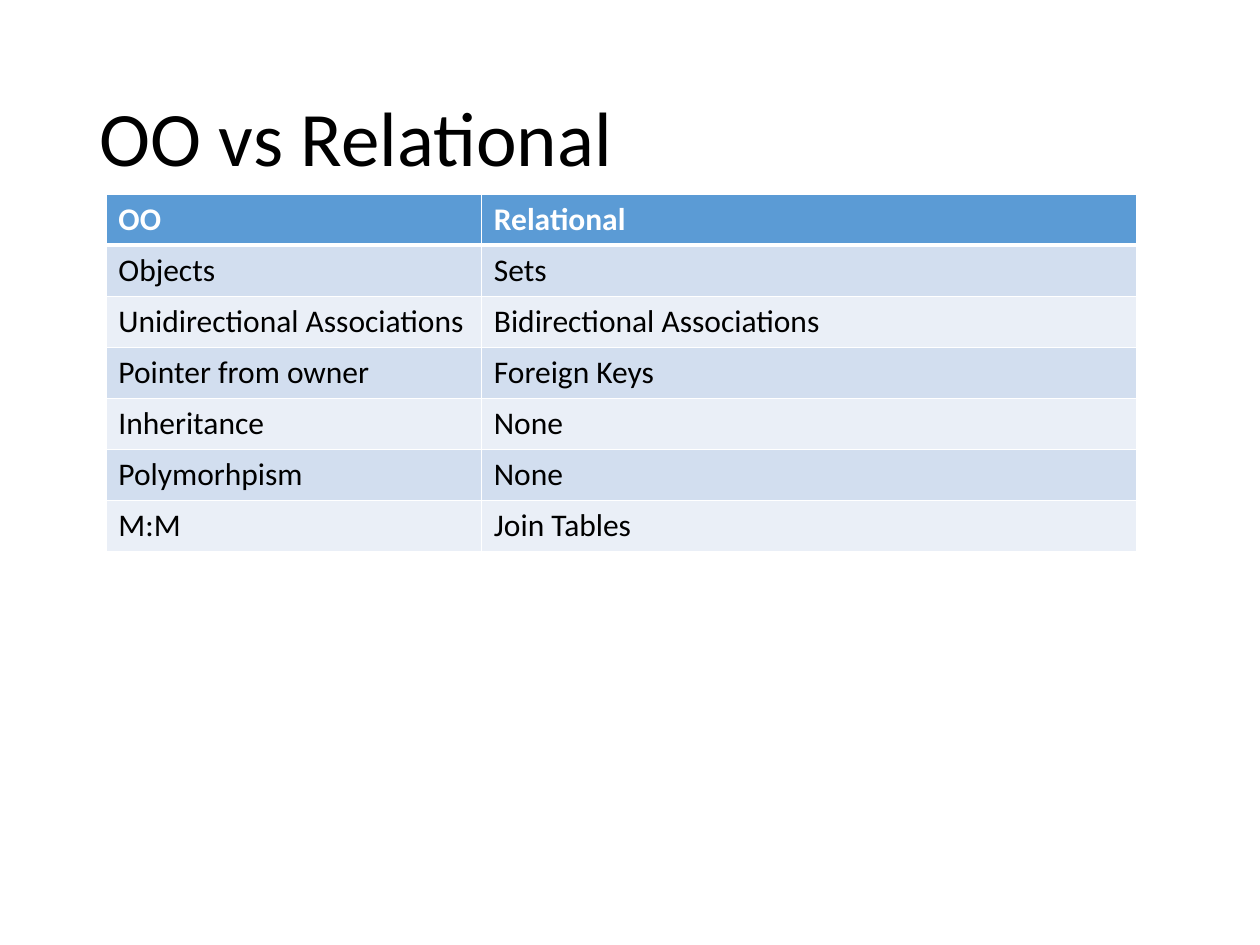
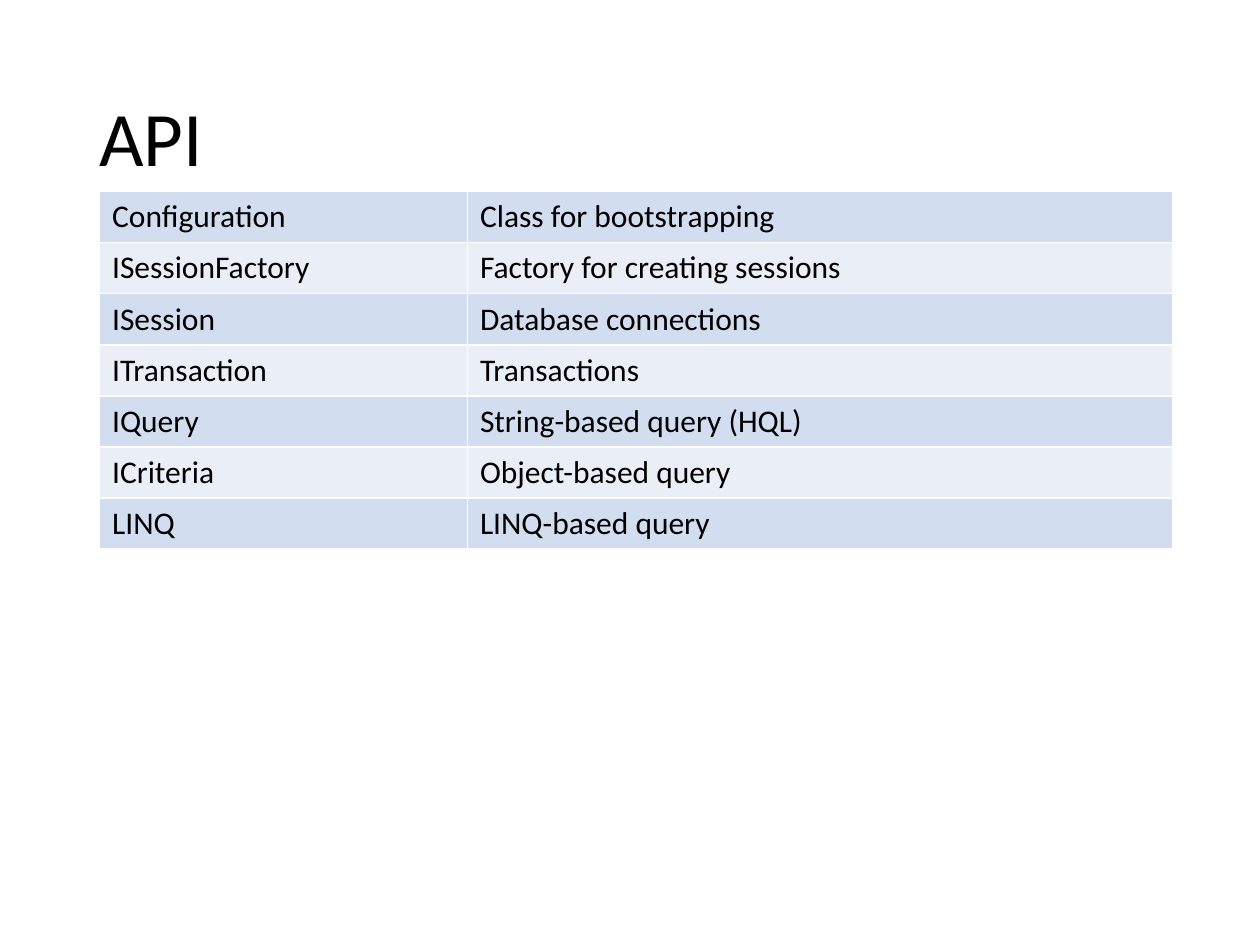
from dataclasses import dataclass

from lxml.etree import SubElement
from pptx import Presentation
from pptx.dml.color import RGBColor as Color
from pptx.enum.text import MSO_VERTICAL_ANCHOR as Anchor
from pptx.oxml.ns import qn
from pptx.util import Inches, Pt


@dataclass(frozen=True)
class Theme:
    font: str = "Calibri"
    title_size: int = 44
    cell_size: int = 18
    ink: str = "000000"
    paper: str = "FFFFFF"
    header: str = "5B9BD5"
    bands: tuple = ("D2DEEF", "EAEFF7")
    rule: int = 1
    header_rule: int = 3


class TableDeck:
    """Builds slides that each pair a title with a banded table."""

    def __init__(self, theme):
        self.theme = theme
        self.deck = Presentation()
        self.deck.slide_width, self.deck.slide_height = Inches(10), Inches(7.5)
        self.page = None

    def add_page(self, title):
        self.page = self.deck.slides.add_slide(self.deck.slide_layouts[6])
        self.add_title(title)

    def add_span(self, paragraph, text, size, color, bold=False):
        span = paragraph.add_run()
        span.text = text
        formats = {"name": self.theme.font, "size": Pt(size), "bold": bold}
        for name, value in formats.items():
            setattr(span.font, name, value)
        span.font.color.rgb = Color.from_string(color)

    def add_title(self, text):
        box = self.page.shapes.add_textbox(
            Inches(0.69), Inches(0.4), Inches(8.62), Inches(1.45))
        frame = box.text_frame
        for name, value in {"word_wrap": True, "vertical_anchor": Anchor.MIDDLE}.items():
            setattr(frame, name, value)
        paragraph = frame.paragraphs[0]
        paragraph.line_spacing = 0.9
        self.add_span(paragraph, text, self.theme.title_size, self.theme.ink)

    def add_borders(self, cell, top, bottom):
        properties = cell._tc.get_or_add_tcPr()
        widths = {"L": self.theme.rule, "R": self.theme.rule, "T": top, "B": bottom}
        for side, width in widths.items():
            line = SubElement(properties, qn(f"a:ln{side}"), w=str(Pt(width)))
            fill = SubElement(line, qn("a:solidFill"))
            SubElement(fill, qn("a:srgbClr"), val=self.theme.paper)

    def add_table(self, left, top, column_widths, rows, has_header=False):
        theme = self.theme
        table = self.page.shapes.add_table(
            len(rows), len(column_widths), Inches(left), Inches(top),
            Inches(sum(column_widths)), Inches(2.84)).table
        table.first_row = has_header
        for column, width in zip(table.columns, column_widths):
            column.width = Inches(width)
        for index, texts in enumerate(rows, start=-int(has_header)):
            is_header = index < 0
            above = theme.header_rule if has_header and index == 0 else theme.rule
            below = theme.header_rule if is_header else theme.rule
            fill = theme.header if is_header else theme.bands[index % 2]
            ink = theme.paper if is_header else theme.ink
            for cell, text in zip(table.rows[index + has_header].cells, texts):
                self.add_borders(cell, above, below)
                cell.fill.solid()
                cell.fill.fore_color.rgb = Color.from_string(fill)
                self.add_span(cell.text_frame.paragraphs[0], text,
                              theme.cell_size, ink, is_header)


COMPARISON = [
    ("OO", "Relational"),
    ("Objects", "Sets"),
    ("Unidirectional Associations", "Bidirectional Associations"),
    ("Pointer from owner", "Foreign Keys"),
    ("Inheritance", "None"),
    ("Polymorhpism", "None"),
    ("M:M", "Join Tables"),
]

API_TYPES = [
    ("Configuration", "Class for bootstrapping"),
    ("ISessionFactory", "Factory for creating sessions"),
    ("ISession", "Database connections"),
    ("ITransaction", "Transactions"),
    ("IQuery", "String-based query (HQL)"),
    ("ICriteria", "Object-based query"),
    ("LINQ", "LINQ-based query"),
]


def main():
    builder = TableDeck(Theme())
    builder.add_page("OO vs Relational")
    builder.add_table(0.84, 1.54, (2.98, 5.2), COMPARISON, has_header=True)
    builder.add_page("API")
    builder.add_table(0.79, 1.52, (2.92, 5.6), API_TYPES)
    builder.deck.save("out.pptx")


if __name__ == "__main__":
    main()
